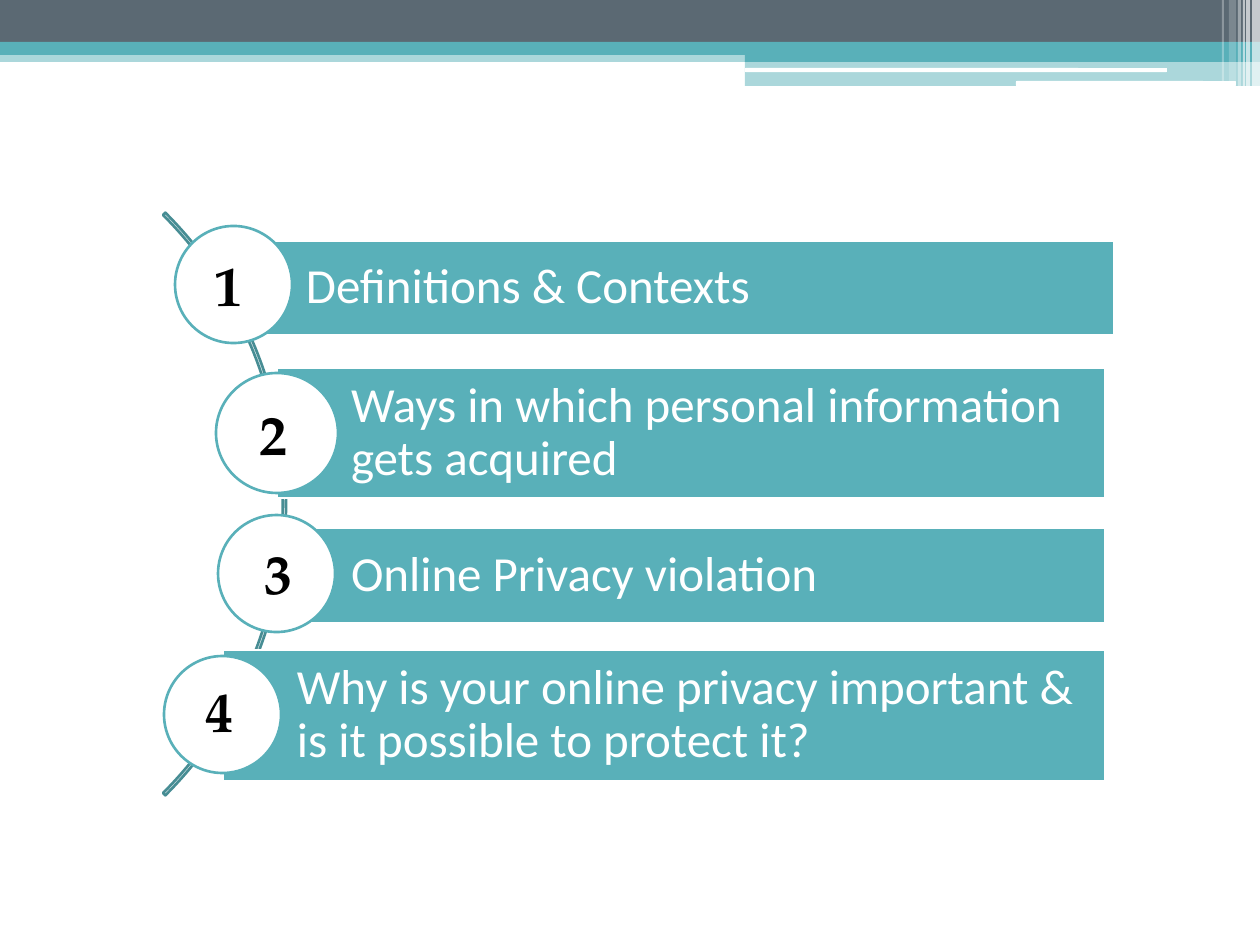
"""Build an agenda slide with four numbered topics along an arc."""
import pptx
import pptx.dml.color
import pptx.enum.shapes
import pptx.enum.text
import pptx.oxml
import pptx.oxml.ns
import pptx.util

SHAPE = pptx.enum.shapes.MSO_SHAPE
ANCHOR = pptx.enum.text.MSO_ANCHOR
ALIGN = pptx.enum.text.PP_ALIGN
SCALE = 914400 / 126
SIZE = (1260, 945)

THEME = {
    "teal": "59B0B9", "slate": "5B6973", "arc": "478D94",
    "white": "FFFFFF", "black": "000000", "line": 1.5,
    "topic": {"name": "Calibri", "size": pptx.util.Pt(28)},
    "number": {"name": "TeX Gyre Pagella", "size": pptx.util.Pt(32), "bold": True},
}

BANDS = [
    ("RECTANGLE", (0, 50, 1260, 12), "teal", 50),
    ("RECTANGLE", (0, 0, 1260, 42), "slate", 100),
    ("RECTANGLE", (0, 42, 1260, 13), "teal", 100),
    ("RECTANGLE", (745, 49, 515, 13), "teal", 100),
    ("RECTANGLE", (745, 61, 515, 25), "teal", 50),
    ("ROUNDED_RECTANGLE", (745, 68, 422, 4), "white", 100),
    ("ROUNDED_RECTANGLE", (1016, 81, 220, 5), "white", 100),
]
STRIPES = [
    (1252, 8, 86, 65), (1246, 4, 86, 65), (1243, 2, 86, 60),
    (1238, 3, 86, 40), (1229, 7, 81, 20), (1222, 2, 81, 30),
]
ARC = (-538, 92, 824, 824)
ARC_ADJUST = (189, 27, 0.004)
TOPICS = [
    ("Definitions & Contexts",
     (232, 241, 882, 94), (175, 226, 117, 117), (202, 244)),
    ("Ways in which personal information gets acquired",
     (277, 368, 828, 130), (216, 373, 122, 120), (247, 393)),
    ("Online Privacy violation",
     (277, 528, 828, 95), (218, 515, 117, 117), (252, 532)),
    ("Why is your online privacy important & is it possible to protect it?",
     (223, 650, 882, 131), (164, 656, 117, 117), (193, 670)),
]
NUMBER_SIZE = (64, 81)
BAR_INSETS = {"margin_left": 74, "margin_top": 10, "margin_right": 10, "margin_bottom": 10}


def px(value):
    return pptx.util.Emu(round(value * SCALE))


def rgb(name):
    return pptx.dml.color.RGBColor.from_string(THEME[name])


def add_shape(s, kind, box, fill=None, line=None, opacity=100):
    sp = s.shapes.add_shape(getattr(SHAPE, kind), *map(px, box))
    sp.shadow.inherit = False
    if fill:
        sp.fill.solid()
        sp.fill.fore_color.rgb = rgb(fill)
    else:
        sp.fill.background()
    if opacity < 100:
        color = sp.fill._xPr.find(".//" + pptx.oxml.ns.qn("a:srgbClr"))
        color.append(pptx.oxml.parse_xml(
            f'<a:alpha {pptx.oxml.ns.nsdecls("a")} val="{opacity * 1000}"/>'))
    if line:
        sp.line.color.rgb = rgb(line)
        sp.line.width = pptx.util.Pt(THEME["line"])
    else:
        sp.line.fill.background()
    return sp


def write(sp, text, style, color):
    tf = sp.text_frame
    tf.word_wrap = True
    p = tf.paragraphs[0]
    p.alignment = ALIGN.LEFT
    r = p.add_run()
    r.text = text
    for key, value in THEME[style].items():
        setattr(r.font, key, value)
    r.font.color.rgb = rgb(color)
    return tf


def add_topic(s, text, bar, circle):
    sp = add_shape(s, "RECTANGLE", bar, "teal", "white")
    tf = write(sp, text, "topic", "white")
    tf.vertical_anchor = ANCHOR.MIDDLE
    tf.paragraphs[0].line_spacing = 0.9
    for key, value in BAR_INSETS.items():
        setattr(tf, key, px(value))
    add_shape(s, "OVAL", circle, "white", "teal")


def main():
    prs = pptx.Presentation()
    prs.slide_width, prs.slide_height = map(px, SIZE)
    s = prs.slides.add_slide(prs.slide_layouts[6])
    for kind, box, fill, opacity in BANDS:
        add_shape(s, kind, box, fill, opacity=opacity)
    for left, width, height, opacity in STRIPES:
        add_shape(s, "RECTANGLE", (left, 0, width, height), "white", opacity=opacity)
    arc = add_shape(s, "BLOCK_ARC", ARC, line="arc")
    for i, value in enumerate(ARC_ADJUST):
        arc.adjustments[i] = value
    for text, bar, circle, _ in TOPICS:
        add_topic(s, text, bar, circle)
    for number, (*_, corner) in enumerate(TOPICS, 1):
        sp = s.shapes.add_textbox(*map(px, corner + NUMBER_SIZE))
        write(sp, str(number), "number", "black")
    prs.save("out.pptx")


if __name__ == "__main__":
    main()
